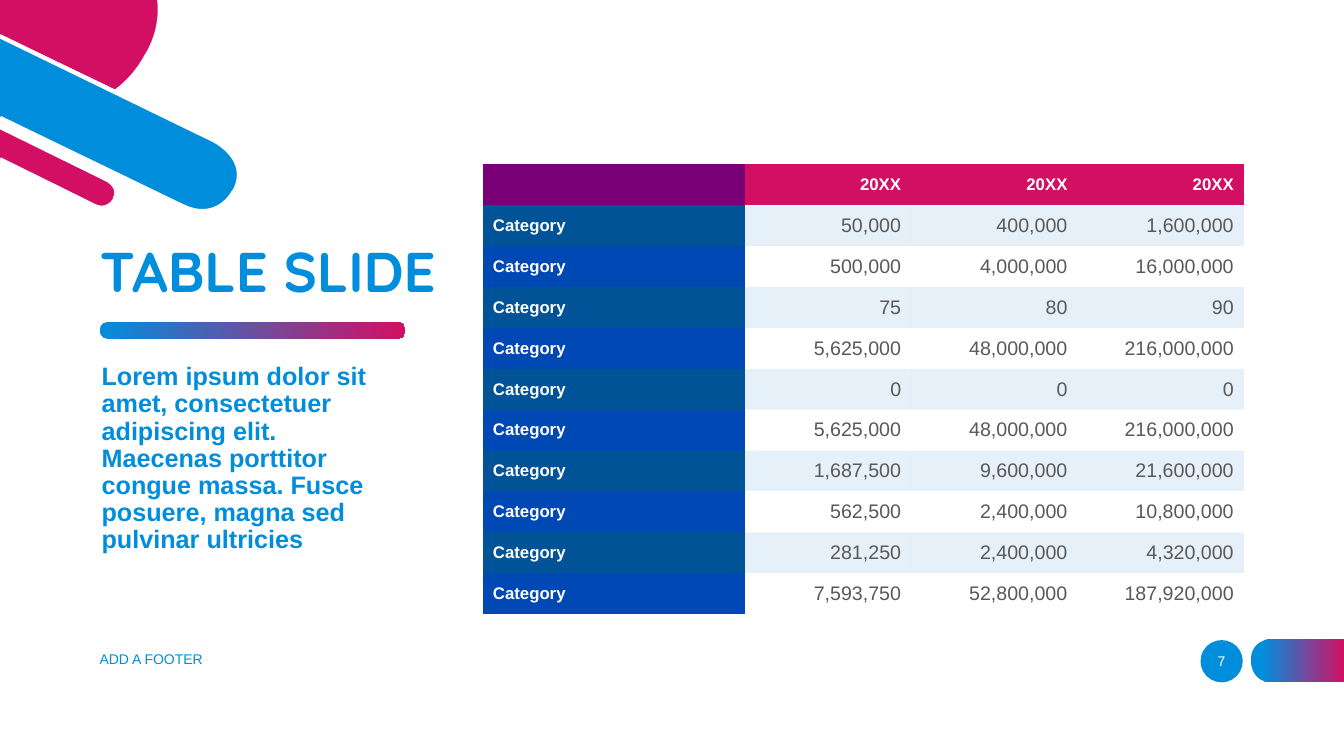
from lxml import etree
from pptx import Presentation
from pptx.dml.color import RGBColor
from pptx.enum import shapes, text
from pptx.oxml import ns
from pptx.util import Pt

BLUE = RGBColor(0x00, 0x8E, 0xDC)
PINK = RGBColor(0xD3, 0x0F, 0x64)
WHITE = RGBColor(0xFF, 0xFF, 0xFF)
PURPLE = RGBColor(0x7A, 0x00, 0x78)
DARK_BLUE = RGBColor(0x00, 0x53, 0x97)
ROYAL_BLUE = RGBColor(0x00, 0x48, 0xB3)
TINT_BLUE = RGBColor(0x00, 0x6F, 0xC9)
GREY = RGBColor(0x59, 0x59, 0x59)

LEFT, CENTER, RIGHT = text.PP_ALIGN.LEFT, text.PP_ALIGN.CENTER, text.PP_ALIGN.RIGHT
TOP, MIDDLE, BOTTOM = text.MSO_ANCHOR.TOP, text.MSO_ANCHOR.MIDDLE, text.MSO_ANCHOR.BOTTOM
NO_STYLE_NO_GRID = "{2D5ABB26-0587-4C30-8999-92F81FD0307C}"

# Outlines in points: a pair is a line's end, six numbers are a Bézier curve.
BLOB = [(0, 0), (113.8, 0), (115.2, 10.8, 113.8, 23.8, 105.8, 38.2), (105.1, 40.3),
        (105.1, 40.3, 97.9, 54.7, 84.2, 64.8), (0, 24.5)]
BLOB_RIM = [(0.7, 60), (19.4, 69.1), (41.8, 79.2, 64.8, 78.5, 83.5, 64.8),
            (97.9, 54, 104.4, 40.3, 104.4, 40.3), (105.8, 38.2),
            (113, 25.2, 115.2, 12.2, 113.8, 0)]
BAND = [(0, 25.9), (152.6, 100.1), (152.6, 100.1, 179.3, 113, 167.8, 136.1), (167, 136.8),
        (167, 136.8, 155.5, 159.8, 129.6, 146.9), (0, 84.2)]
BAR = [(0, 90.7), (76.3, 128.2), (76.3, 128.2, 86.4, 133.2, 82.1, 141.8), (82.1, 142.6),
       (82.1, 142.6, 77, 151.9, 67, 146.9), (0, 113.8)]
TAB = [(908.6, 487.4), (960, 487.4), (960, 456.5), (908.6, 456.5),
       (908.6, 456.5, 893.5, 456.5, 893.5, 471.6), (893.5, 472.3),
       (893.5, 472.3, 893.5, 487.4, 908.6, 487.4)]

BODY = ("Lorem ipsum dolor sit amet, consectetuer adipiscing elit. "
        "Maecenas porttitor congue massa. Fusce posuere, magna sed pulvinar ultricies")
VALUES = [
    (50000, 400000, 1600000), (500000, 4000000, 16000000), (75, 80, 90),
    (5625000, 48000000, 216000000), (0, 0, 0), (5625000, 48000000, 216000000),
    (1687500, 9600000, 21600000), (562500, 2400000, 10800000),
    (281250, 2400000, 4320000), (7593750, 52800000, 187920000),
]


def flatten(outline, steps=16):
    """Return the outline's points, with each curve cut into short lines."""
    points = [outline[0]]
    for segment in outline[1:]:
        if len(segment) == 2:
            points.append(segment)
            continue
        x0, y0 = points[-1]
        x1, y1, x2, y2, x3, y3 = segment
        for step in range(1, steps + 1):
            t = step / steps
            a, b, c, d = (1 - t) ** 3, 3 * t * (1 - t) ** 2, 3 * t * t * (1 - t), t ** 3
            points.append((a * x0 + b * x1 + c * x2 + d * x3,
                           a * y0 + b * y1 + c * y2 + d * y3))
    return [(Pt(x), Pt(y)) for x, y in points]


def add_outline(slide, outline, closed=True):
    """Add a freeform that follows the outline, without shadow."""
    start, *others = flatten(outline)
    builder = slide.shapes.build_freeform(*start, scale=1)
    builder.add_line_segments(others, close=closed)
    shape = builder.convert_to_shape()
    shape.shadow.inherit = False
    return shape


def fill_solid(shape, color):
    """Fill the shape with one colour and hide its line."""
    shape.fill.solid()
    shape.fill.fore_color.rgb = color
    shape.line.fill.background()


def fill_gradient(shape, start=0):
    """Fill the shape from blue to pink, left to right."""
    shape.fill.gradient()
    shape.fill.gradient_angle = 0
    stops = zip(shape.fill.gradient_stops, (BLUE, PINK), (start, 1))
    for stop, color, position in stops:
        stop.color.rgb = color
        stop.position = position
    shape.line.fill.background()


def add_rim(slide, outline):
    """Draw a white edge along the outline."""
    rim = add_outline(slide, outline, closed=False)
    rim.fill.background()
    rim.line.color.rgb = WHITE
    rim.line.width = Pt(3)


def add_preset(slide, kind, left, top, width, height):
    """Add a preset shape without shadow."""
    shape = slide.shapes.add_shape(kind, Pt(left), Pt(top), Pt(width), Pt(height))
    shape.shadow.inherit = False
    return shape


def write(frame, content, size, color, bold=False, font="Arial", align=LEFT):
    """Write one formatted paragraph into the text frame."""
    frame.text = content
    paragraph = frame.paragraphs[0]
    paragraph.alignment = align
    for run in paragraph.runs:
        run.font.name = font
        run.font.size = Pt(size)
        run.font.bold = bold
        run.font.color.rgb = color
    return paragraph


def set_frame(shape, anchor):
    """Wrap the shape's text at a fixed size and anchor it."""
    frame = shape.text_frame
    frame.word_wrap = True
    frame.auto_size = text.MSO_AUTO_SIZE.NONE
    frame.vertical_anchor = anchor
    return frame


def add_text(slide, box, content, size, color, anchor=MIDDLE, **style):
    """Add a text box with one paragraph."""
    shape = slide.shapes.add_textbox(*map(Pt, box))
    return write(set_frame(shape, anchor), content, size, color, **style)


def place_title(slide, content):
    """Move and format the title placeholder."""
    title = slide.shapes.title
    title.left, title.top, title.width, title.height = map(Pt, (64.1, 167.8, 267.8, 53.3))
    frame = set_frame(title, BOTTOM)
    write(frame, content, 40, BLUE, bold=True, font="Quicksand").line_spacing = 0.9


def fill_cell(cell, content, color, size, font_color, bold, align, opacity=100):
    """Fill a table cell and write its text."""
    cell.fill.solid()
    cell.fill.fore_color.rgb = color
    if opacity < 100:
        rgb = cell._tc.get_or_add_tcPr().find(".//" + ns.qn("a:srgbClr"))
        etree.SubElement(rgb, ns.qn("a:alpha"), val=str(opacity * 1000))
    cell.vertical_anchor = MIDDLE
    write(cell.text_frame, content, size, font_color, bold=bold, align=align)


def add_value_table(slide):
    """Add the table of categories and yearly values."""
    widths = (187.2, 118.8, 118.8, 118.8)
    count = len(VALUES) + 1
    frame = slide.shapes.add_table(count, len(widths), Pt(344.9), Pt(117.4),
                                   Pt(sum(widths)), Pt(29.2 * count))
    table = frame.table
    table._tbl.tblPr.find(ns.qn("a:tableStyleId")).text = NO_STYLE_NO_GRID
    for column, width in zip(table.columns, widths):
        column.width = Pt(width)
    fill_cell(table.cell(0, 0), "", PURPLE, 12, WHITE, True, LEFT)
    for column in range(1, len(widths)):
        fill_cell(table.cell(0, column), "20XX", PINK, 12, WHITE, True, RIGHT)
    for row, values in enumerate(VALUES, 1):
        tinted = row % 2 == 1
        fill_cell(table.cell(row, 0), "Category", DARK_BLUE if tinted else ROYAL_BLUE,
                  12, WHITE, True, LEFT)
        for column, value in enumerate(values, 1):
            fill_cell(table.cell(row, column), f"{value:,}", TINT_BLUE if tinted else WHITE,
                      14, GREY, False, RIGHT, opacity=10 if tinted else 100)


def main():
    """Build the slide and save it."""
    presentation = Presentation()
    presentation.slide_width, presentation.slide_height = Pt(960), Pt(540)
    slide = presentation.slides.add_slide(presentation.slide_layouts[5])

    fill_solid(add_preset(slide, shapes.MSO_SHAPE.OVAL, 857.5, 457.2, 30.2, 30.2), BLUE)
    fill_gradient(add_outline(slide, TAB), start=0.12)
    for outline, color, rim in ((BLOB, PINK, BLOB_RIM), (BAR, PINK, BAR), (BAND, BLUE, BAND)):
        fill_solid(add_outline(slide, outline), color)
        add_rim(slide, rim)
    divider = add_preset(slide, shapes.MSO_SHAPE.ROUNDED_RECTANGLE, 71.3, 230.2, 218.2, 11.6)
    divider.adjustments[0] = 0.45
    fill_gradient(divider)

    place_title(slide, "TABLE SLIDE")
    body = add_text(slide, (65.5, 256.3, 222.5, 145.4), BODY, 18, BLUE, anchor=TOP, bold=True)
    body.line_spacing = 0.9
    body.space_before = Pt(10)
    add_value_table(slide)
    add_text(slide, (64.1, 456.5, 324, 28.8), "ADD A FOOTER", 10, BLUE)
    add_text(slide, (851, 457.9, 43.2, 28.8), "7", 10, WHITE, align=CENTER)
    presentation.save("out.pptx")


if __name__ == "__main__":
    main()
